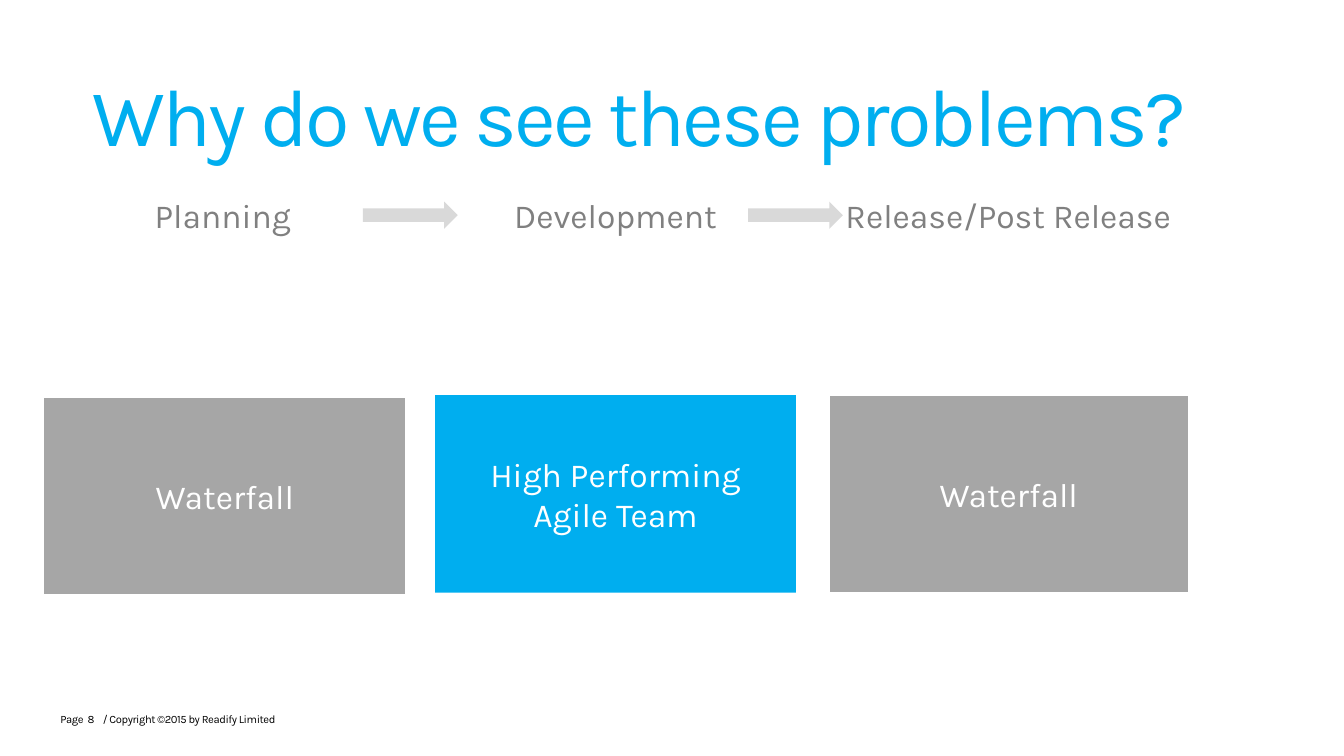
from dataclasses import dataclass

from pptx import Presentation
from pptx.dml.color import RGBColor
from pptx.enum.shapes import MSO_SHAPE
from pptx.enum.text import MSO_ANCHOR, PP_ALIGN
from pptx.util import Inches, Pt


@dataclass(frozen=True)
class Theme:
    font: str = "Karla"
    blue: str = "00AEEF"
    box: str = "A6A6A6"
    arrow: str = "D9D9D9"
    phase: str = "808080"
    white: str = "FFFFFF"
    black: str = "000000"
    title_size: int = 58
    body_size: int = 24
    footer_size: int = 8


THEME = Theme()
SLIDE_W, SLIDE_H = 13.33, 7.5
LEFT, STEP, COL_W = 0.42, 3.895, 3.58
PHASE_ROW, ARROW_ROW, BOX_ROW, FOOTER_ROW = 1.88, 2, 3.92, 7.07
ARROW_LEFT, ARROW_STEP = 3.6, 3.82


def col(i):
    return LEFT + i * STEP


def write(sp, text, size=THEME.body_size, color=THEME.white, align=PP_ALIGN.CENTER,
          anchor=MSO_ANCHOR.MIDDLE, spacing=0, line=None, inset=True):
    tf = sp.text_frame
    tf.word_wrap = True
    tf.vertical_anchor = anchor
    if not inset:
        tf.margin_left = tf.margin_right = tf.margin_top = tf.margin_bottom = 0
    p = tf.paragraphs[0]
    p.text = text
    p.alignment = align
    if line:
        p.line_spacing = Pt(line)
    for r in p.runs:
        r.font.name = THEME.font
        r.font.size = Pt(size)
        r.font.color.rgb = RGBColor.from_string(color)
        if spacing:
            r._r.get_or_add_rPr().set("spc", str(round(spacing * 100)))


def add_text(s, text, x, y, w, h, **fmt):
    sp = s.shapes.add_textbox(Inches(x), Inches(y), Inches(w), Inches(h))
    write(sp, text, **fmt)


def add_block(s, kind, x, y, w, h, fill, border=0):
    sp = s.shapes.add_shape(kind, Inches(x), Inches(y), Inches(w), Inches(h))
    sp.shadow.inherit = False
    sp.fill.solid()
    sp.fill.fore_color.rgb = RGBColor.from_string(fill)
    if border:
        sp.line.color.rgb = RGBColor.from_string(THEME.white)
        sp.line.width = Pt(border)
    else:
        sp.line.fill.background()
    return sp


def add_title(s, text):
    add_text(s, text, 0.92, 0.36, 10.99, 1.25, size=THEME.title_size, color=THEME.blue,
             align=PP_ALIGN.LEFT, anchor=MSO_ANCHOR.BOTTOM, spacing=-2, line=50, inset=False)


def add_phases(s, names):
    for i, name in enumerate(names):
        add_text(s, name, col(i), PHASE_ROW, COL_W, 0.5, color=THEME.phase,
                 anchor=MSO_ANCHOR.TOP)
    for i in range(len(names) - 1):
        add_block(s, MSO_SHAPE.RIGHT_ARROW, ARROW_LEFT + i * ARROW_STEP, ARROW_ROW,
                  0.94, 0.27, THEME.arrow)


def add_methods(s, methods):
    for i, (text, fill, dy, w, h, border) in enumerate(methods):
        sp = add_block(s, MSO_SHAPE.RECTANGLE, col(i), BOX_ROW + dy, w, h, fill, border)
        write(sp, text)


def add_footer(s, parts):
    for text, x, w in parts:
        add_text(s, text, x, FOOTER_ROW, w, 0.34, size=THEME.footer_size, color=THEME.black,
                 align=PP_ALIGN.LEFT, anchor=MSO_ANCHOR.TOP, spacing=-0.3, inset=False)


def main():
    prs = Presentation()
    prs.slide_width, prs.slide_height = Inches(SLIDE_W), Inches(SLIDE_H)
    s = prs.slides.add_slide(prs.slide_layouts[6])
    add_title(s, "Why do we see these problems?")
    add_phases(s, ["Planning", "Development", "Release/Post Release"])
    add_methods(s, [
        ("Waterfall", THEME.box, 0.01, 3.62, 1.98, 3),
        ("High Performing\vAgile Team", THEME.blue, 0, COL_W, 1.96, 0),
        ("Waterfall", THEME.box, -0.01, 3.59, 1.98, 3),
    ])
    add_footer(s, [
        ("Page", 0.6, 0.3),
        ("8", 0.87, 0.24),
        ("/ Copyright ©2015 by Readify Limited", 1.02, 9.01),
    ])
    prs.save("out.pptx")


if __name__ == "__main__":
    main()
